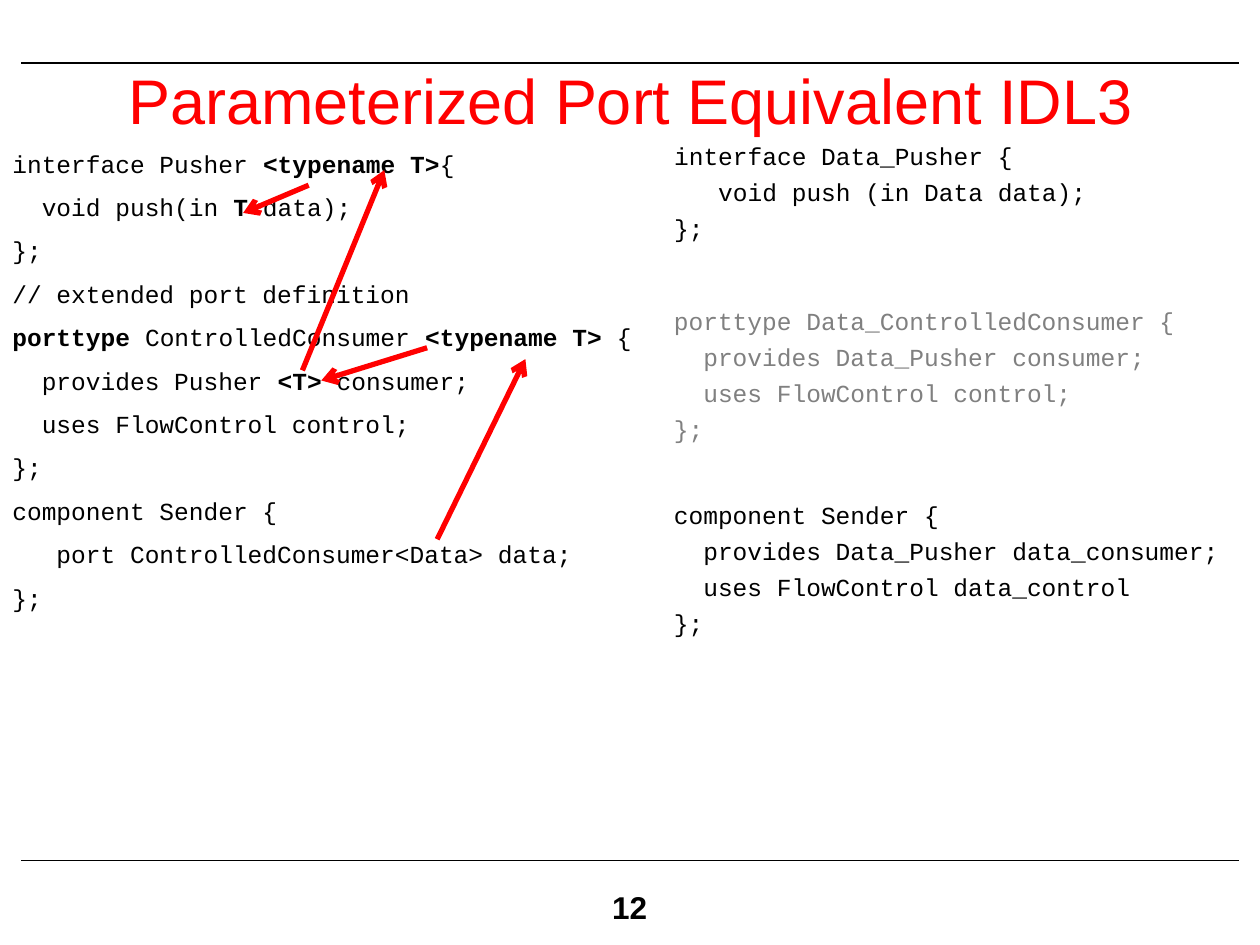
from dataclasses import dataclass

from lxml.etree import SubElement
from pptx import Presentation
from pptx.dml.color import RGBColor
from pptx.enum.shapes import MSO_CONNECTOR, MSO_SHAPE
from pptx.enum.text import MSO_ANCHOR, MSO_AUTO_SIZE, PP_ALIGN
from pptx.oxml.ns import qn
from pptx.slide import Slide
from pptx.text.text import Font, TextFrame
from pptx.util import Inches, Pt

BLACK, RED, GRAY, WHITE = "000000", "FF0000", "808080", "FFFFFF"
BOLD_MARK = "**"


@dataclass
class Listing:
    code: str
    box: tuple[float, float, float, float]
    space_before: float
    color: str = BLACK
    hanging: float = 0


@dataclass
class Line:
    start: tuple[float, float]
    end: tuple[float, float]
    color: str = RED
    width: float = 3
    arrow: bool = True


RULES = [Line((0.17, y), (9.83, y), BLACK, 0.75, False) for y in (0.5, 6.83)]

TEMPLATE_IDL = Listing(
    """interface Pusher **<typename T>**{
  void push(in **T **data);
};
// extended port definition
**porttype **ControlledConsumer **<typename T>** {
  provides Pusher **<T> **consumer;
  uses FlowControl control;
};
component Sender {
   port ControlledConsumer<Data> data;
};""",
    (0, 1.13, 5.26, 5.33), 8)

PUSHER_IDL = Listing(
    """interface Data_Pusher {
   void push (in Data data);
};""",
    (5.25, 1.07, 4.75, 1.03), 3.8, hanging=0.38)

SENDER_IDL = Listing(
    """component Sender {
  provides Data_Pusher data_consumer;
  uses FlowControl data_control
};""",
    (5.25, 3.92, 4.75, 1.19), 3.8, hanging=0.38)

PORTTYPE_IDL = Listing(
    """porttype Data_ControlledConsumer {
  provides Data_Pusher consumer;
  uses FlowControl control;
};""",
    (5.25, 2.38, 4.75, 1.19), 3.8, GRAY, 0.38)

SUBSTITUTIONS = [
    Line((3.47, 4.28), (4.17, 2.85)),
    Line((3.39, 2.76), (2.55, 3.02)),
    Line((2.4, 2.94), (3.05, 1.35)),
    Line((2.45, 1.47), (1.93, 1.69)),
]


def rgb(color: str) -> RGBColor:
    return RGBColor.from_string(color)


def style(font: Font, name: str, size: float, color: str, bold: bool = False) -> None:
    font.name, font.size, font.bold = name, Pt(size), bold
    font.color.rgb = rgb(color)


def place(shape, box: tuple[float, float, float, float]) -> None:
    shape.left, shape.top, shape.width, shape.height = map(Inches, box)


def draw_line(slide: Slide, line: Line) -> None:
    connector = slide.shapes.add_connector(
        MSO_CONNECTOR.STRAIGHT, *map(Inches, line.start + line.end))
    connector.line.color.rgb = rgb(line.color)
    connector.line.width = Pt(line.width)
    if line.arrow:
        SubElement(connector.line._get_or_add_ln(), qn("a:tailEnd"), type="arrow")
    SubElement(connector._element.spPr, qn("a:effectLst"))


def write_code(frame: TextFrame, listing: Listing) -> None:
    """Fill a frame with code; text between bold marks becomes bold."""
    frame.word_wrap = True
    frame.auto_size = MSO_AUTO_SIZE.NONE
    for row, code_line in enumerate(listing.code.split("\n")):
        paragraph = frame.add_paragraph() if row else frame.paragraphs[0]
        paragraph.space_before = Pt(listing.space_before)
        properties = paragraph._p.get_or_add_pPr()
        properties.set("marL", str(Inches(listing.hanging)))
        properties.set("indent", str(-Inches(listing.hanging)))
        SubElement(properties, qn("a:buNone"))
        for part, words in enumerate(code_line.split(BOLD_MARK)):
            if words:
                run = paragraph.add_run()
                run.text = words
                style(run.font, "Courier New", 14, listing.color, part % 2 == 1)


def draw_listing(slide: Slide, listing: Listing) -> None:
    box = slide.shapes.add_textbox(*map(Inches, listing.box))
    write_code(box.text_frame, listing)


def write_title(slide: Slide, heading: str) -> None:
    title = slide.shapes.title
    place(title, (0.17, 0.58, 9.67, 0.42))
    frame = title.text_frame
    frame.text = heading
    frame.auto_size = MSO_AUTO_SIZE.NONE
    frame.vertical_anchor = MSO_ANCHOR.MIDDLE
    frame.paragraphs[0].alignment = PP_ALIGN.CENTER
    style(frame.paragraphs[0].runs[0].font, "Arial", 36, RED)


def draw_page_number(slide: Slide, number: str) -> None:
    label = slide.shapes.add_shape(
        MSO_SHAPE.RECTANGLE, *map(Inches, (4.76, 7, 0.51, 0.4)))
    label.shadow.inherit = False
    label.fill.solid()
    label.fill.fore_color.rgb = rgb(WHITE)
    label.line.fill.background()
    frame = label.text_frame
    frame.text = number
    frame.word_wrap = False
    frame.vertical_anchor = MSO_ANCHOR.TOP
    frame.paragraphs[0].alignment = PP_ALIGN.LEFT
    style(frame.paragraphs[0].runs[0].font, "Arial", 18, BLACK, True)


def main() -> None:
    presentation = Presentation()
    presentation.slide_width, presentation.slide_height = Inches(10), Inches(7.5)
    slide = presentation.slides.add_slide(presentation.slide_layouts[1])

    for rule in RULES:
        draw_line(slide, rule)
    draw_page_number(slide, "12")
    write_title(slide, "Parameterized Port Equivalent IDL3")

    body = slide.placeholders[1]
    place(body, PUSHER_IDL.box)
    write_code(body.text_frame, PUSHER_IDL)

    draw_listing(slide, TEMPLATE_IDL)
    for substitution in SUBSTITUTIONS:
        draw_line(slide, substitution)
    for listing in (SENDER_IDL, PORTTYPE_IDL):
        draw_listing(slide, listing)

    presentation.save("out.pptx")


if __name__ == "__main__":
    main()
